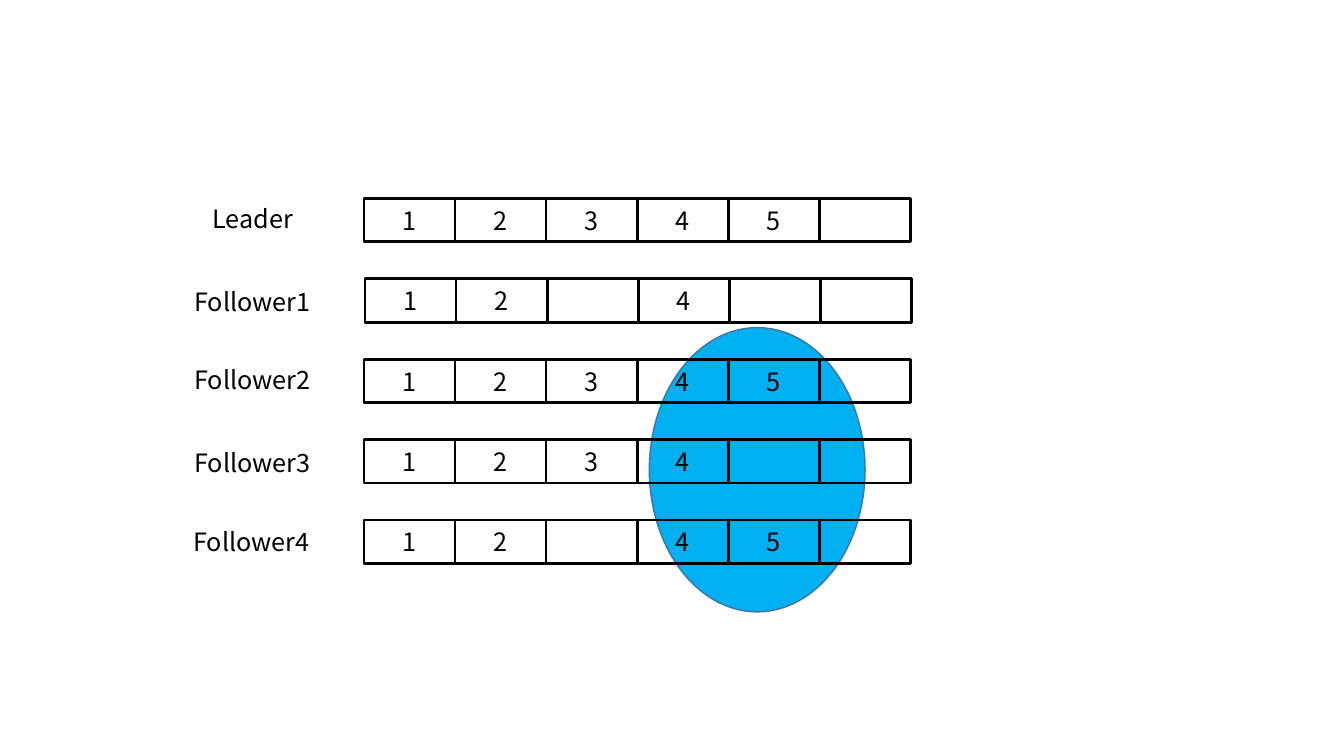
from pptx import Presentation
from pptx.dml.color import RGBColor
from pptx.enum.shapes import MSO_SHAPE as Shape
from pptx.enum.text import MSO_ANCHOR as Anchor, MSO_AUTO_SIZE as AutoSize, PP_ALIGN as Align
from pptx.util import Inches, Pt

BLACK = RGBColor(0x00, 0x00, 0x00)
SKY = RGBColor(0x00, 0xB0, 0xF0)
STEEL = RGBColor(0x43, 0x73, 0x9E)
FONT = "Noto Sans CJK SC"

# Log grid, in inches: six columns, five rows
TOP, ROW_STEP = 1.97, 3.19 / 4
CELL_WIDTH, CELL_HEIGHT = 5.42 / 6, 0.43
LABEL_HEIGHT = 0.4

# Name, grid left, label left, label top, label width, log entries
LOGS = [
    ("Leader", 3.61, 2.01, 1.97, 1.02, ["1", "2", "3", "4", "5", ""]),
    ("Follower1", 3.62, 1.83, 2.79, 1.38, ["1", "2", "", "4", "", ""]),
    ("Follower2", 3.61, 1.83, 3.57, 1.38, ["1", "2", "3", "4", "5", ""]),
    ("Follower3", 3.61, 1.83, 4.39, 1.38, ["1", "2", "3", "4", "", ""]),
    ("Follower4", 3.61, 1.82, 5.17, 1.38, ["1", "2", "", "4", "5", ""]),
]


def write(shape, text):
    para = shape.text_frame.paragraphs[0]
    para.text = text
    para.font.name = FONT
    para.font.size = Pt(18)
    para.font.color.rgb = BLACK
    return para


deck = Presentation()
deck.slide_width, deck.slide_height = Inches(13.33), Inches(7.5)
page = deck.slides.add_slide(deck.slide_layouts[6])

# Ellipse behind the followers' newest entries
ellipse = page.shapes.add_shape(Shape.OVAL, Inches(6.44), Inches(3.25), Inches(2.14), Inches(2.82))
ellipse.shadow.inherit = False
ellipse.fill.solid()
ellipse.fill.fore_color.rgb = SKY
ellipse.line.color.rgb = STEEL
ellipse.line.width = Pt(1)

# One grouped row of cells per log
for row, (name, left, label_left, label_top, label_width, entries) in enumerate(LOGS):
    log = page.shapes.add_group_shape()
    for column, entry in enumerate(entries):
        cell = log.shapes.add_shape(
            Shape.RECTANGLE,
            Inches(left + column * CELL_WIDTH), Inches(TOP + row * ROW_STEP),
            Inches(CELL_WIDTH), Inches(CELL_HEIGHT))
        cell.shadow.inherit = False
        cell.fill.background()
        cell.line.color.rgb = BLACK
        cell.line.width = Pt(2)
        if entry:
            cell.text_frame.vertical_anchor = Anchor.MIDDLE
            write(cell, entry).alignment = Align.CENTER

# Row labels
for name, left, label_left, label_top, label_width, entries in LOGS:
    label = page.shapes.add_textbox(
        Inches(label_left), Inches(label_top), Inches(label_width), Inches(LABEL_HEIGHT))
    label.text_frame.word_wrap = False
    label.text_frame.auto_size = AutoSize.SHAPE_TO_FIT_TEXT
    write(label, name)

deck.save("out.pptx")
